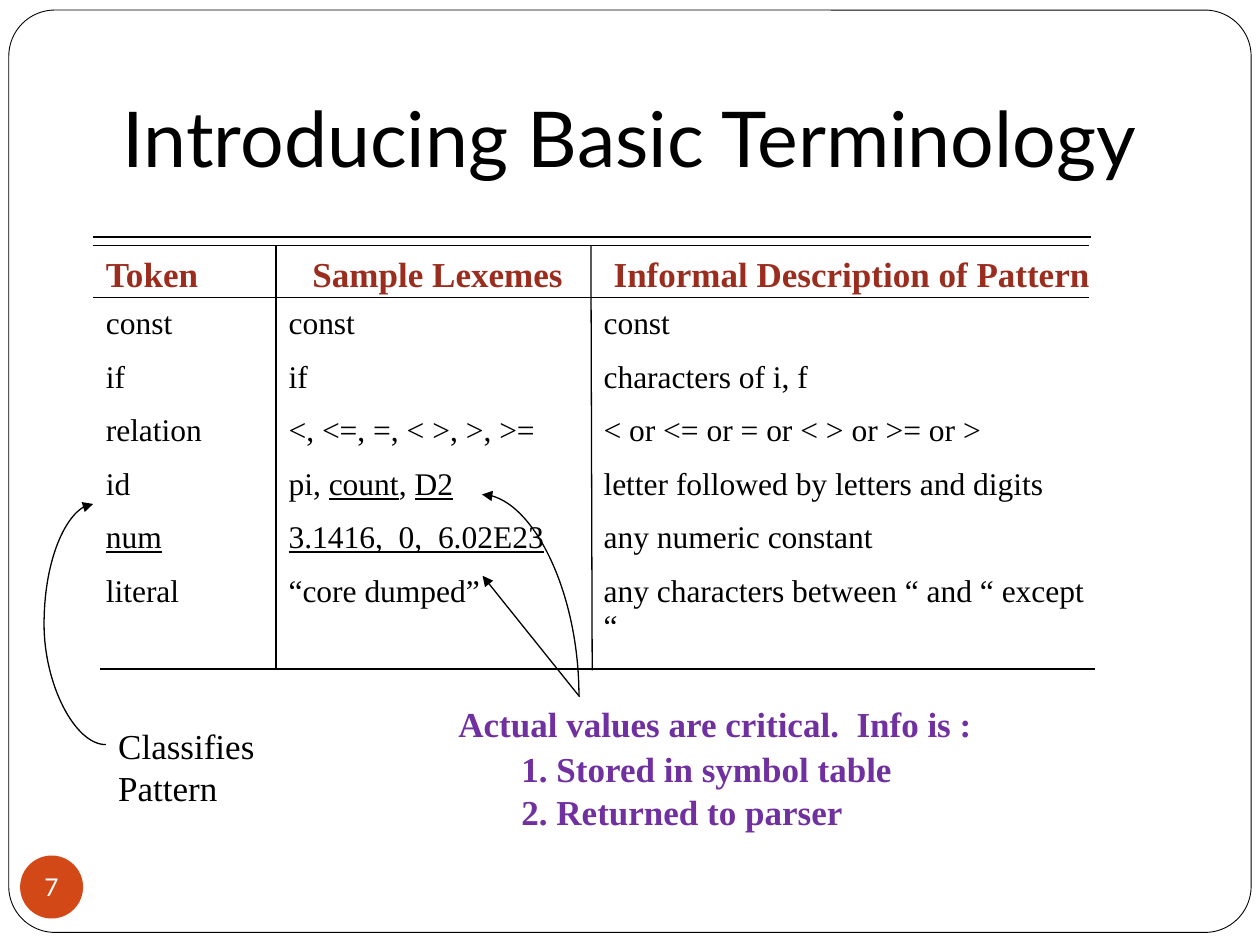
import pptx
import pptx.dml.color
import pptx.enum.shapes
import pptx.enum.text
import pptx.oxml
import pptx.oxml.ns
import pptx.util

RGBColor = pptx.dml.color.RGBColor
BLACK = RGBColor(0x00, 0x00, 0x00)
WHITE = RGBColor(0xFF, 0xFF, 0xFF)
ORANGE = RGBColor(0xD3, 0x48, 0x17)
RED = RGBColor(0x9B, 0x2D, 0x1F)
PURPLE = RGBColor(0x70, 0x30, 0xA0)
SERIF, SANS = "Times New Roman", "Lato"
LEFT, CENTER = pptx.enum.text.PP_ALIGN.LEFT, pptx.enum.text.PP_ALIGN.CENTER
TOP, MIDDLE, BOTTOM = (pptx.enum.text.MSO_ANCHOR.TOP,
                       pptx.enum.text.MSO_ANCHOR.MIDDLE,
                       pptx.enum.text.MSO_ANCHOR.BOTTOM)
SHAPES = pptx.enum.shapes.MSO_SHAPE
CONNECTORS = pptx.enum.shapes.MSO_CONNECTOR
COLUMNS, ROWS = 100, 75
CELL = pptx.util.Inches(0.1)


def grid(*values):
    """Turn grid columns and rows into slide lengths."""
    return [round(value * CELL) for value in values]


def write_text(frame, text, font=SERIF, size=20, color=BLACK, bold=False,
               align=LEFT, anchor=TOP, indent=0, spacing=0.6):
    """Write one paragraph per line; text between underscores is underlined.

    Paragraphs after the first take the indent and the line spacing.
    """
    frame.word_wrap = True
    frame.vertical_anchor = anchor
    for number, line in enumerate(text.split("\n")):
        paragraph = frame.add_paragraph() if number else frame.paragraphs[0]
        paragraph.alignment = align
        if number:
            paragraph.space_before = pptx.util.Pt(size / 2)
            paragraph.line_spacing = spacing
            paragraph.level = 1
            properties = paragraph._p.get_or_add_pPr()
            properties.set("marL", str(grid(indent)[0]))
            properties.set("indent", "0")
        for position, part in enumerate(line.split("_")):
            if not part:
                continue
            run = paragraph.add_run()
            run.text = part
            run.font.name = font
            run.font.size = pptx.util.Pt(size)
            run.font.bold = bold
            run.font.underline = position % 2 == 1
            run.font.color.rgb = color


presentation = pptx.Presentation()
presentation.slide_width, presentation.slide_height = grid(COLUMNS, ROWS)
slide = presentation.slides.add_slide(presentation.slide_layouts[6])

# Rounded slide frame
frame = slide.shapes.add_shape(SHAPES.ROUNDED_RECTANGLE, *grid(0.7, 0.8, 98.6, 73.2))
frame.adjustments[0] = 0.05
frame.shadow.inherit = False
frame.fill.solid()
frame.fill.fore_color.rgb = WHITE
frame.line.color.rgb = BLACK
frame.line.width = pptx.util.Pt(0.5)

# Page number badge
badge = slide.shapes.add_shape(SHAPES.OVAL, *grid(1.6, 67.9, 5, 5))
badge.shadow.inherit = False
badge.fill.solid()
badge.fill.fore_color.rgb = ORANGE
badge.line.fill.background()
badge_text = badge.text_frame
badge_text.margin_left = badge_text.margin_right = 0
badge_text.margin_top = badge_text.margin_bottom = 0
write_text(badge_text, "7", font=SANS, size=14, color=WHITE, align=CENTER, anchor=MIDDLE)

# Title and notes below the table
text_boxes = [
    ((5, 3, 90, 12.5), "Introducing Basic Terminology",
     dict(font=SANS, size=44, align=CENTER, anchor=BOTTOM)),
    ((8.4, 57, 16.4, 7.7), "Classifies Pattern", {}),
    ((35.4, 55.3, 46.3, 12),
     "Actual values are critical.  Info is :\n"
     "1. Stored in symbol table\n2. Returned to parser",
     dict(color=PURPLE, bold=True, indent=5)),
]
for box, text, style in text_boxes:
    text_frame = slide.shapes.add_textbox(*grid(*box)).text_frame
    write_text(text_frame, text, **style)
    if style.get("anchor") == BOTTOM:
        text_frame.margin_bottom = pptx.util.Inches(0.1)

# Table of tokens
terms = [
    ("Token", "Sample Lexemes", "Informal Description of Pattern"),
    ("const", "const", "const"),
    ("if", "if", "characters of i, f"),
    ("relation", "<, <=, =, < >, >, >=", "< or <= or = or < > or >= or >"),
    ("id", "pi, _count_, _D2_", "letter followed by letters and digits"),
    ("_num_", "_3.1416,  0,  6.02E23_", "any numeric constant"),
    ("literal", "“core dumped”", "any characters between “ and “ except “"),
]
column_widths = grid(14.5, 25, 40)
row_heights = grid(4.1, *[4.25] * 5, 8.25)
header_margins = grid(1, 2.9, 1.8)

table = slide.shapes.add_table(
    len(terms), len(column_widths), *grid(7.4, 19.5),
    sum(column_widths), sum(row_heights)).table
table.first_row = table.horz_banding = False
# "No Style, No Grid": the rules are drawn below
table._tbl.tblPr.find(pptx.oxml.ns.qn("a:tableStyleId")).text = (
    "{2D5ABB26-0587-4C30-8999-92F81FD0307C}")
for column, width in zip(table.columns, column_widths):
    column.width = width
for row, height in zip(table.rows, row_heights):
    row.height = height

for row, texts in enumerate(terms):
    for column, text in enumerate(texts):
        cell = table.cell(row, column)
        header = row == 0
        cell.margin_left = header_margins[column] if header else CELL
        cell.margin_top = pptx.util.Inches(0.08 if header else 0.07)
        cell.margin_right = cell.margin_bottom = 0
        write_text(cell.text_frame, text, size=20 if header else 18,
                   color=RED if header else BLACK, bold=header)
        cell.fill.background()

# Table rules, then the arrows from the notes to the table
lines = [
    ("rule", (7.4, 18.8, 86.6, 18.8)),
    ("rule", (7.4, 19.5, 86.4, 19.5)),
    ("rule", (7.4, 23.6, 86.4, 23.6)),
    ("rule", (7.9, 53.1, 86.9, 53.1)),
    ("rule", (21.9, 19.5, 21.9, 53.1)),
    ("rule", (46.9, 19.5, 47, 53.2)),
    ("straight arrow", (46, 55.3, 38.3, 45.7)),
    ("classifies arc", (8.4, 59.1, 7.4, 40)),
    ("values arc", (34.1, 51.1, 50.1, 43.4)),
]
for role, ends in lines:
    kind = CONNECTORS.CURVE if role.endswith("arc") else CONNECTORS.STRAIGHT
    connector = slide.shapes.add_connector(kind, *grid(*ends))
    connector.line.color.rgb = BLACK
    connector.line.width = pptx.util.Pt(0.75)
    properties = connector._element.spPr
    geometry = properties.find(pptx.oxml.ns.qn("a:prstGeom"))
    if role != "rule":
        connector.line._get_or_add_ln().append(pptx.oxml.parse_xml(
            f'<a:tailEnd {pptx.oxml.ns.nsdecls("a")} type="triangle"/>'))
    if role == "classifies arc":
        # Bulge far out to the left of both ends
        geometry.get_or_add_avLst().append(pptx.oxml.parse_xml(
            f'<a:gd {pptx.oxml.ns.nsdecls("a")} name="adj1" fmla="val 490000"/>'))
    if role == "values arc":
        # Quarter arc, turned to leave its note upwards
        geometry.set("prst", "curvedConnector2")
        properties.find(pptx.oxml.ns.qn("a:xfrm")).set("rot", str(270 * 60000))
    properties.append(pptx.oxml.parse_xml(
        f'<a:effectLst {pptx.oxml.ns.nsdecls("a")}/>'))

presentation.save("out.pptx")
